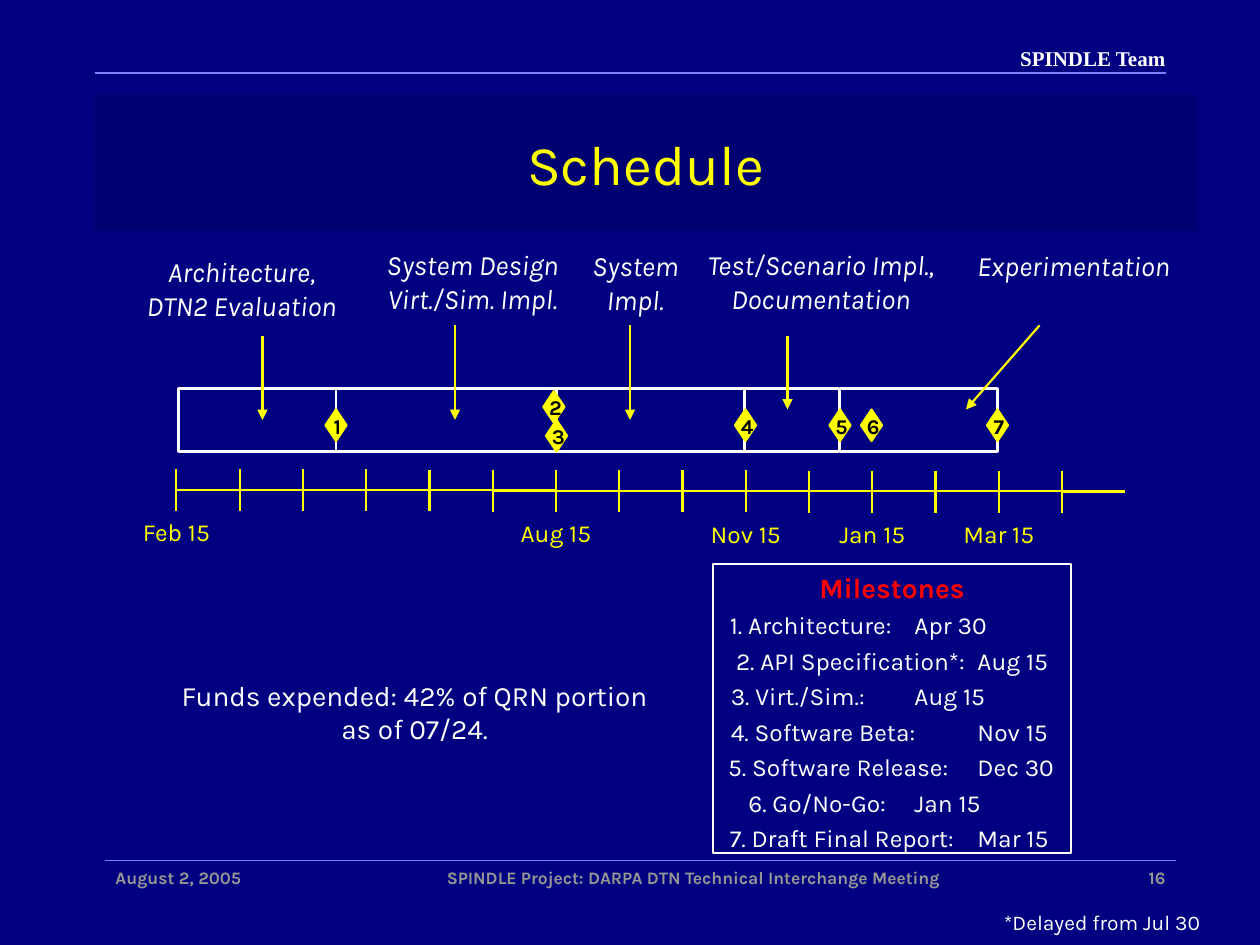
from pptx import Presentation
from pptx.dml.color import RGBColor
from pptx.enum.shapes import MSO_CONNECTOR as Link, MSO_SHAPE as Kind
from pptx.enum.text import MSO_ANCHOR as Anchor, PP_ALIGN as Align
from pptx.oxml.ns import qn
from pptx.util import Pt
from lxml.etree import SubElement

NAVY, DARK, YELLOW, WHITE = "000080", "000062", "FFFF00", "FFFFFF"
RED, BLACK, GRAY, BLUE = "FF0000", "000000", "969696", "8080FF"

RULES = [(54, 41.8, 666), (60, 491.8, 672)]
PHASES = [
    ("Architecture,\vDTN2 Evaluation", 65, 142, 146),
    ("System Design\vVirt./Sim. Impl.", 198, 138, 144),
    ("System\vImpl.", 331, 138.5, 64),
    ("Test/Scenario Impl.,\vDocumentation", 392, 138, 154),
    ("Experimentation", 548, 138.5, 131),
]
BARS = [(102, 90), (192, 126), (318, 108), (425, 54.5), (480, 90)]
ARROWS = [
    (150, 192, 150, 240),
    (260, 186, 260, 240),
    (360, 186, 360, 240),
    (450, 192, 450, 234),
    (594, 186, 552, 234),
]
MARKS = [(186, 234), (310.5, 223.5), (312, 240), (420, 234),
         (474, 234), (492, 234), (564, 234)]
DATES = {0: "Feb 15", 6: "Aug 15", 9: "Nov 15", 11: "Jan 15", 13: "Mar 15"}
GOALS = [
    ("Architecture:", "Apr 30", 2.5, 146),
    ("API Specification*:", "Aug 15", 6, 143),
    ("Virt./Sim.:", "Aug 15", 3, 147),
    ("Software Beta:", "Nov 15", 3, 147),
    ("Software Release:", "Dec 30", 1.5, 145),
    ("Go/No-Go:", "Jan 15", 13, 138),
    ("Draft Final Report:", "Mar 15", 2.5, 147),
]


def rgb(code):
    """Turn a hex string into a colour."""
    return RGBColor.from_string(code)


def style(para, size, color, align=Align.CENTER, bold=False, italic=False,
          face="Karla"):
    """Set the font and alignment of a paragraph."""
    para.alignment = align
    font = para.font
    font.name, font.size = face, Pt(size)
    font.bold, font.italic = bold, italic
    font.color.rgb = rgb(color)


def inset(frame, side=7.2):
    """Set the margins of a text frame."""
    frame.margin_left = frame.margin_right = Pt(side)
    frame.margin_top, frame.margin_bottom = Pt(3.6), 0


def label(slide, text, x, y, w, h, size, color, align=Align.CENTER, side=7.2,
          **look):
    """Add a text box with one paragraph."""
    frame = slide.shapes.add_textbox(Pt(x), Pt(y), Pt(w), Pt(h)).text_frame
    frame.word_wrap = align != Align.CENTER
    inset(frame, side)
    para = frame.paragraphs[0]
    para.text = text
    style(para, size, color, align, **look)


def line(slide, x1, y1, x2, y2, color=YELLOW, width=1.25, arrow=False):
    """Add a straight line, with an arrowhead if asked."""
    link = slide.shapes.add_connector(
        Link.STRAIGHT, Pt(x1), Pt(y1), Pt(x2), Pt(y2))
    link.line.color.rgb = rgb(color)
    link.line.width = Pt(width)
    if arrow:
        SubElement(link.line._get_or_add_ln(), qn("a:tailEnd"), type="triangle")
    SubElement(link._element.spPr, qn("a:effectLst"))


def shape(slide, kind, x, y, w, h, edge, fill=None):
    """Add an outlined shape, hollow unless a fill is given."""
    item = slide.shapes.add_shape(kind, Pt(x), Pt(y), Pt(w), Pt(h))
    item.shadow.inherit = False
    item.line.color.rgb = rgb(edge)
    item.line.width = Pt(1.25)
    if fill:
        item.fill.solid()
        item.fill.fore_color.rgb = rgb(fill)
    else:
        item.fill.background()
    return item


def title(slide, text):
    """Place and format the title on its translucent band."""
    head = slide.shapes.title
    head.left, head.top, head.width, head.height = map(Pt, (54, 54, 630, 78))
    head.fill.solid()
    head.fill.fore_color.rgb = rgb(DARK)
    tone = head._element.spPr.find(".//" + qn("a:srgbClr"))
    SubElement(tone, qn("a:alpha"), val="50000")
    head.text_frame.vertical_anchor = Anchor.MIDDLE
    para = head.text_frame.paragraphs[0]
    para.text = text
    style(para, 32, YELLOW)


def axis(slide):
    """Draw the monthly time axis with its dates."""
    for i in range(15):
        x, top, mid = 100.8 + 36.15 * i, 267.9 + 0.1 * i, 280 + 0.06 * i
        line(slide, x, top, x, top + 24)
        line(slide, x, mid, x + 36, mid)
        if i in DATES:
            label(slide, DATES[i], x - 30, top + 24, 60, 21, 14, YELLOW)


def mark(slide, num, x, y):
    """Add a numbered milestone diamond."""
    shape(slide, Kind.DIAMOND, x, y, 12, 18, YELLOW, YELLOW)
    label(slide, str(num), x - 3.8, y - 1.4, 21, 18, 12, BLACK, bold=True)


def goals(slide):
    """Add the framed list of milestones."""
    box = shape(slide, Kind.RECTANGLE, 407.5, 322.5, 204.5, 165, WHITE)
    frame = box.text_frame
    frame.word_wrap = True
    frame.vertical_anchor = Anchor.TOP
    inset(frame)
    head = frame.paragraphs[0]
    head.text = "Milestones"
    style(head, 16, RED, bold=True)
    for num, (name, date, start, stop) in enumerate(GOALS, 1):
        para = frame.add_paragraph()
        para.text = f"{num}. {name}\t{date}"
        para.space_before = Pt(3.5)
        props = para._p.get_or_add_pPr()
        props.set("marL", "0")
        props.set("indent", str(Pt(start)))
        tabs = SubElement(props, qn("a:tabLst"))
        SubElement(tabs, qn("a:tab"), pos=str(Pt(stop)), algn="l")
        style(para, 14, WHITE, Align.LEFT)


def main():
    """Build the schedule slide."""
    deck = Presentation()
    deck.slide_width, deck.slide_height = Pt(720), Pt(540)
    slide = deck.slides.add_slide(deck.slide_layouts[5])
    slide.background.fill.solid()
    slide.background.fill.fore_color.rgb = rgb(NAVY)
    for x, y, end in RULES:
        line(slide, x, y, end, y, BLUE, 0.75)
    label(slide, "SPINDLE Team", 564, 22.5, 102, 24, 12, WHITE, Align.RIGHT, 0,
          bold=True, face="Times New Roman")
    title(slide, "Schedule")
    axis(slide)
    for x, w in BARS:
        shape(slide, Kind.RECTANGLE, x, 222, w, 36, WHITE)
    for text, x, y, w in PHASES:
        label(slide, text, x, y, w, 42, 16, WHITE, italic=True)
    for ends in ARROWS:
        line(slide, *ends, arrow=True)
    for num, (x, y) in enumerate(MARKS, 1):
        mark(slide, num, x, y)
    goals(slide)
    label(slide, "Funds expended: 42% of QRN portion\vas of 07/24.",
          90, 384, 294, 42, 16, WHITE)
    label(slide, "*Delayed from Jul 30", 562, 516, 131, 18, 12, WHITE,
          Align.RIGHT)
    label(slide, "August 2, 2005", 66, 492, 120, 36, 10, GRAY, Align.LEFT, 0,
          bold=True)
    label(slide, "SPINDLE Project: DARPA DTN Technical Interchange Meeting",
          186, 492, 420, 36, 10, GRAY, bold=True)
    label(slide, "16", 606, 492, 60, 36, 10, GRAY, Align.RIGHT, 0, bold=True)
    deck.save("out.pptx")


if __name__ == "__main__":
    main()
